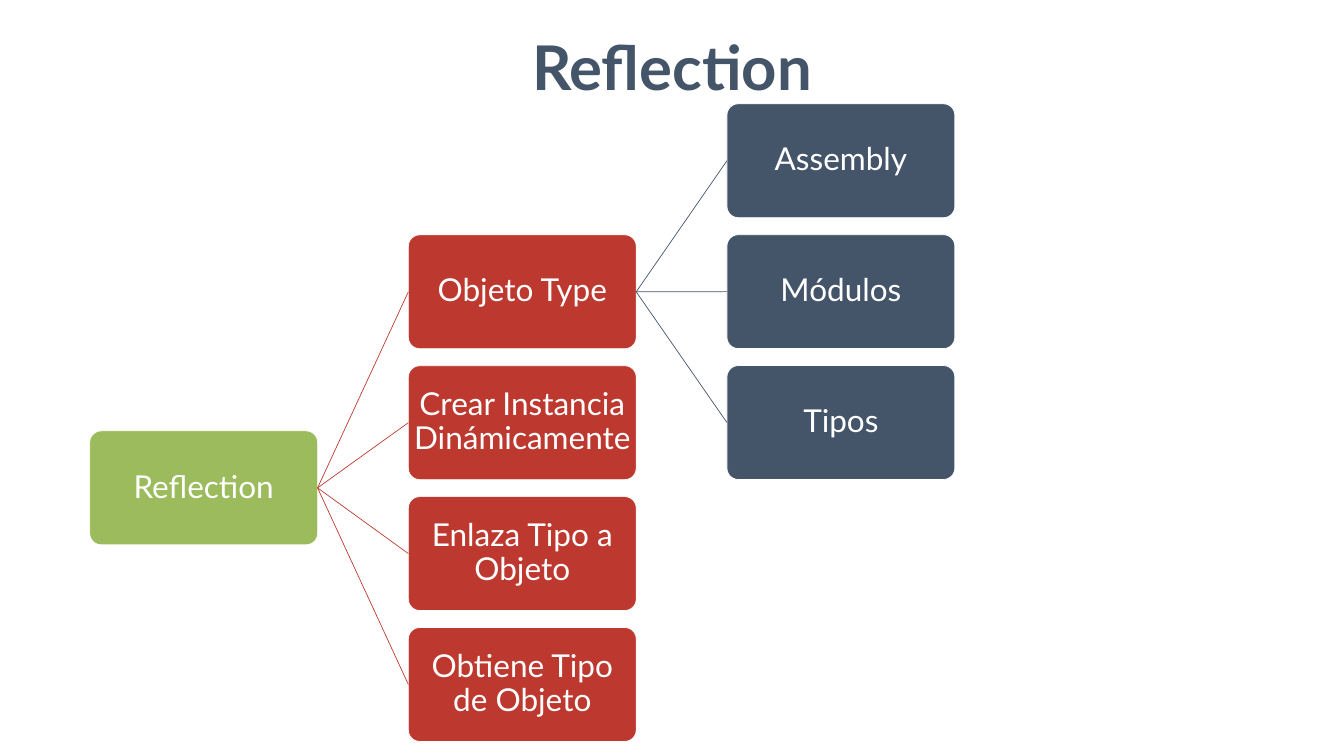
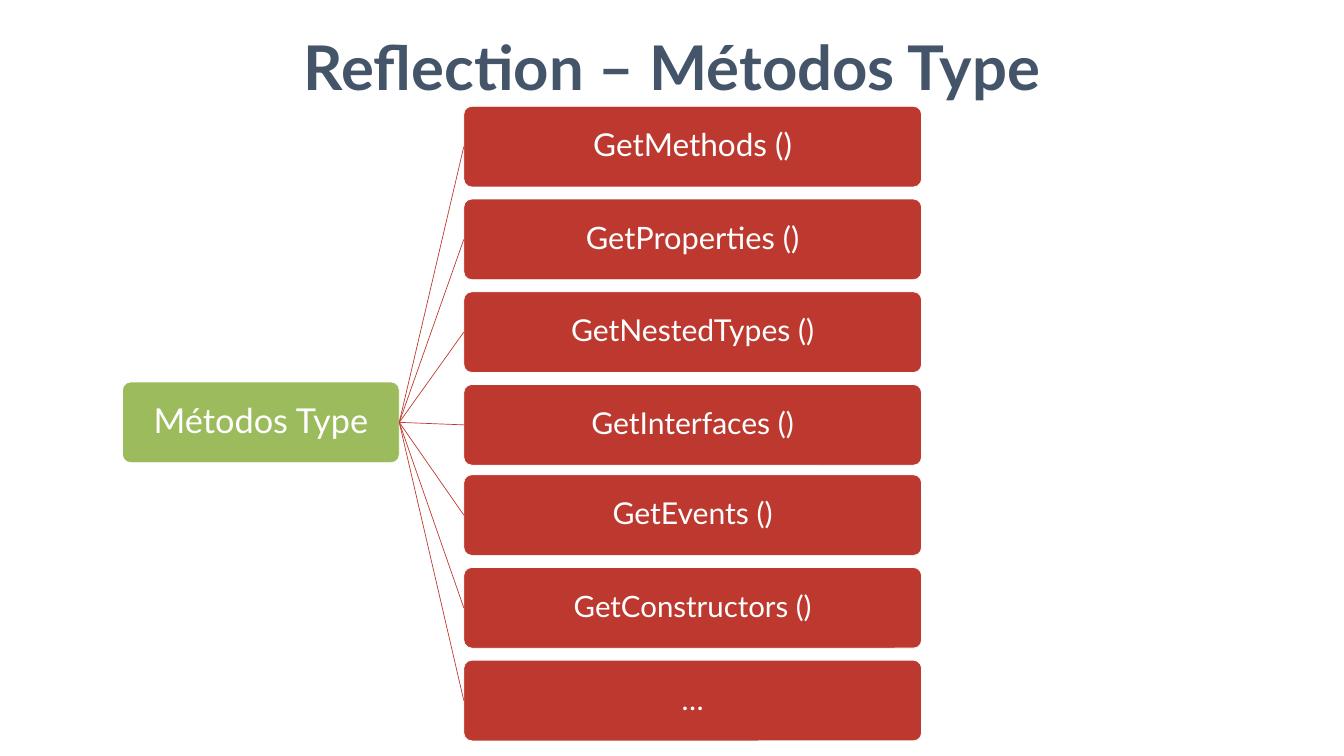
from dataclasses import dataclass

from pptx import Presentation
from pptx import util as u
from pptx.dml.color import RGBColor
from pptx.enum import shapes, text
from pptx.oxml.ns import qn
from lxml import etree


@dataclass(frozen=True)
class Theme:
    font: str = "Lato"
    navy: str = "445469"
    red: str = "BD392F"
    green: str = "9BBB5C"
    white: str = "FFFFFF"
    title_size: int = 88
    root_size: int = 49
    node_size: int = 45
    line_width: int = 1


THEME = Theme()
TITLE_FRAME = {
    "word_wrap": True,
    "auto_size": text.MSO_AUTO_SIZE.NONE,
    "vertical_anchor": text.MSO_ANCHOR.TOP,
    "margin_left": u.Inches(0.1),
    "margin_right": u.Inches(0.1),
    "margin_top": u.Inches(0.05),
    "margin_bottom": u.Inches(0.05),
}
NODE_FRAME = {
    "word_wrap": True,
    "vertical_anchor": text.MSO_ANCHOR.MIDDLE,
    "margin_left": u.Inches(0.03),
    "margin_right": u.Inches(0.03),
    "margin_top": u.Inches(0.03),
    "margin_bottom": u.Inches(0.03),
}


def apply(target, formats):
    for name, value in formats.items():
        setattr(target, name, value)


def write(sp, words, frame, size, color, bold=False, spacing=1.0):
    tf = sp.text_frame
    apply(tf, frame)
    p = tf.paragraphs[0]
    apply(p, {"alignment": text.PP_ALIGN.CENTER, "line_spacing": spacing})
    r = p.add_run()
    r.text = words
    apply(r.font, {"name": THEME.font, "size": u.Pt(size), "bold": bold})
    r.font.color.rgb = RGBColor.from_string(color)


def add_titled_slide(prs, title, left, width):
    s = prs.slides.add_slide(prs.slide_layouts[5])
    sp = s.shapes.title
    apply(sp, {"left": u.Inches(left), "top": u.Inches(0.53),
               "width": u.Inches(width), "height": u.Inches(1.58)})
    write(sp, title, TITLE_FRAME, THEME.title_size, THEME.navy, bold=True)
    return s


def set_line(line, color):
    line.color.rgb = RGBColor.from_string(color)
    line.width = u.Pt(THEME.line_width)


def add_node(s, words, box, color, size=THEME.node_size):
    sp = s.shapes.add_shape(shapes.MSO_SHAPE.ROUNDED_RECTANGLE,
                            *(u.Inches(v) for v in box))
    sp.adjustments[0] = 0.1
    sp.shadow.inherit = False
    sp.fill.solid()
    sp.fill.fore_color.rgb = RGBColor.from_string(color)
    set_line(sp.line, THEME.white)
    write(sp, words, NODE_FRAME, size, THEME.white, spacing=0.9)
    return sp


def link(s, parent, child, color):
    cx = s.shapes.add_connector(shapes.MSO_CONNECTOR.STRAIGHT, 0, 0, 0, 0)
    cx.begin_connect(parent, 3)
    cx.end_connect(child, 1)
    set_line(cx.line, color)
    etree.SubElement(cx._element.spPr, qn("a:effectLst"))


def add_children(s, parent, items, left, tops, size, color):
    nodes = []
    for (words, points), top in zip(items, tops):
        sp = add_node(s, words, (left, top, *size), color, points)
        link(s, parent, sp, color)
        nodes.append(sp)
    return nodes


def build_overview(prs):
    s = add_titled_slide(prs, "Reflection", 6.57, 13.52)
    size, step = (4.52, 2.26), 2.597
    tasks = ["Objeto Type", "Crear Instancia Dinámicamente",
             "Enlaza Tipo a Objeto", "Obtiene Tipo de Objeto"]
    parts = ["Assembly", "Módulos", "Tipos"]
    root = add_node(s, "Reflection", (1.78, 8.55, *size), THEME.green)
    levels = [(tasks, 8.1, 4.66, THEME.red), (parts, 14.42, 2.06, THEME.navy)]
    parent = root
    for names, left, first, color in levels:
        items = [(name, THEME.node_size) for name in names]
        tops = [first + i * step for i in range(len(names))]
        parent = add_children(s, parent, items, left, tops, size, color)[0]


def build_methods(prs):
    s = add_titled_slide(prs, "Reflection – Métodos Type", 0, 26.66)
    methods = [("GetMethods ()", 45), ("GetProperties ()", 44),
               ("GetNestedTypes ()", 43), ("GetInterfaces ()", 43),
               ("GetEvents ()", 43), ("GetConstructors ()", 42), ("…", 42)]
    step = 1.84
    tops = [start + i * step for start, count in ((2.11, 4), (9.42, 3))
            for i in range(count)]
    root = add_node(s, "Métodos Type", (2.43, 7.58, 5.49, 1.6),
                    THEME.green, THEME.root_size)
    add_children(s, root, methods, 9.2, tops, (9.08, 1.6), THEME.red)


def main():
    prs = Presentation()
    apply(prs, {"slide_width": u.Inches(26.66), "slide_height": u.Inches(15)})
    build_overview(prs)
    build_methods(prs)
    prs.save("out.pptx")


if __name__ == "__main__":
    main()
